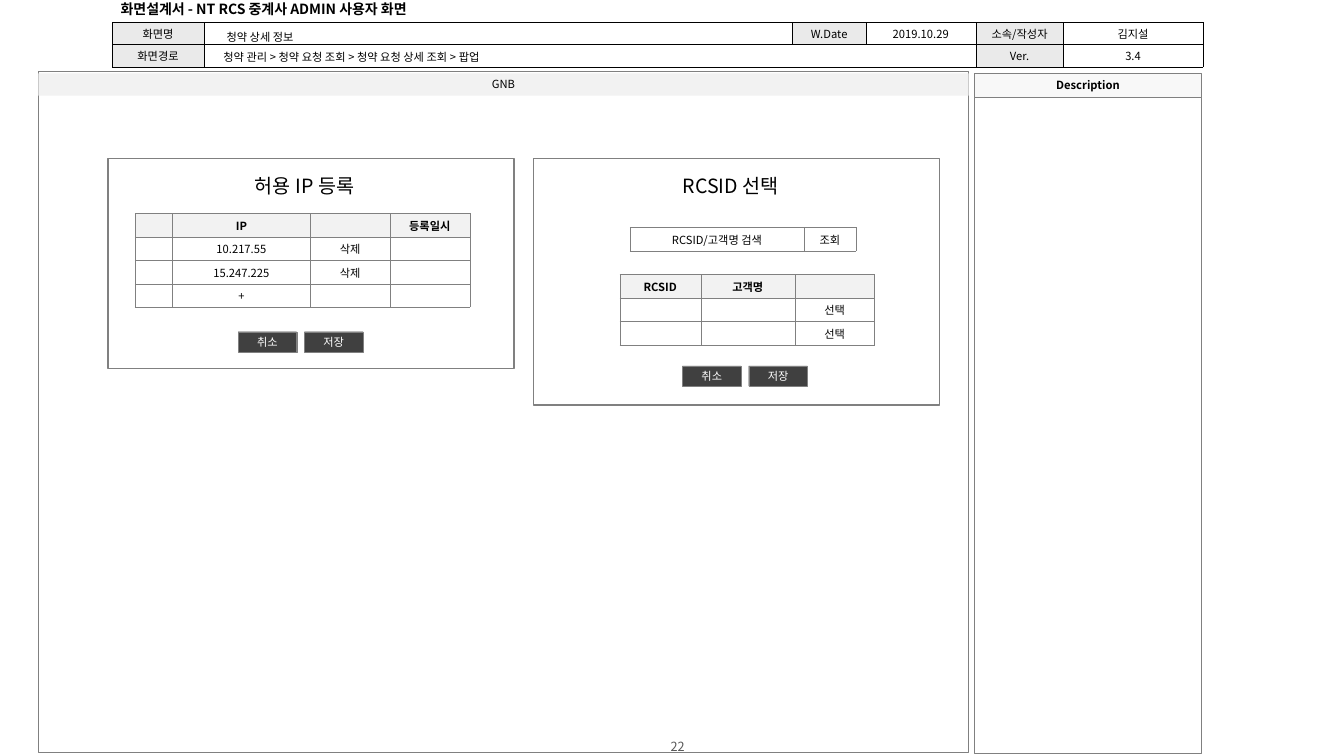
import pptx
import pptx.dml.color
import pptx.enum.shapes
import pptx.enum.text
import pptx.oxml
import pptx.oxml.ns
import pptx.util
from pptx.util import Cm

FONT = "Noto Sans CJK KR"
COLORS = {
    "black": "000000", "white": "FFFFFF", "gray": "808080", "page": "595959",
    "label": "EAEAEA", "head": "F2F2F2", "description": "F8F8F8", "button": "404040",
}
ALIGN = pptx.enum.text.PP_ALIGN
ANCHOR = pptx.enum.text.MSO_ANCHOR
ROW_HEIGHT = 0.59


def rgb(color):
    return pptx.dml.color.RGBColor.from_string(COLORS[color])


def paint(fill, color):
    if color:
        fill.solid()
        fill.fore_color.rgb = rgb(color)
    else:
        fill.background()


def write(tf, text, size=8, color="black", bold=False, align=ALIGN.CENTER):
    p = tf.paragraphs[0]
    p.alignment = align
    if not text:
        # An empty cell keeps the small size so that its row stays low.
        p._p.get_or_add_endParaRPr().set("sz", str(size * 100))
        return
    r = p.add_run()
    r.text = text
    r.font.size = pptx.util.Pt(size)
    r.font.bold = bold
    r.font.name = FONT
    r.font.color.rgb = rgb(color)
    ea = pptx.oxml.parse_xml(f'<a:ea {pptx.oxml.ns.nsdecls("a")} typeface="{FONT}"/>')
    r.font._element.find(pptx.oxml.ns.qn("a:latin")).addnext(ea)


def add_text(s, box, text, size=8, align=ALIGN.LEFT, anchor=ANCHOR.TOP, wrap=True, **style):
    sp = s.shapes.add_textbox(*map(Cm, box))
    tf = sp.text_frame
    tf.word_wrap = wrap
    tf.vertical_anchor = anchor
    write(tf, text, size, align=align, **style)
    return sp


def add_box(s, box, fill=None, line="gray", width=0.25, text="", **style):
    sp = s.shapes.add_shape(pptx.enum.shapes.MSO_SHAPE.RECTANGLE, *map(Cm, box))
    sp.shadow.inherit = False
    paint(sp.fill, fill)
    paint(sp.line.fill, line)
    if line:
        sp.line.width = pptx.util.Pt(width)
    if text:
        tf = sp.text_frame
        tf.margin_left = tf.margin_right = tf.margin_top = tf.margin_bottom = 0
        tf.vertical_anchor = ANCHOR.MIDDLE
        write(tf, text, **style)


def add_borders(cell, color):
    tc_pr = cell._tc.get_or_add_tcPr()
    for side in "LRTB":
        tc_pr.append(pptx.oxml.parse_xml(
            f'<a:ln{side} {pptx.oxml.ns.nsdecls("a")} w="3175"><a:solidFill>'
            f'<a:srgbClr val="{COLORS[color]}"/></a:solidFill></a:ln{side}>'))


def add_grid(s, left, top, widths, rows, fill_of, height=ROW_HEIGHT, line="gray",
             bold_head=False, margin=0.08):
    """Add a table; fill_of(row, column) names the fill of each cell."""
    frame = s.shapes.add_table(len(rows), len(widths), Cm(left), Cm(top),
                               Cm(sum(widths)), Cm(height * len(rows)))
    table = frame.table
    table.first_row = table.horz_banding = False
    for column, width in zip(table.columns, widths):
        column.width = Cm(width)
    for i, row in enumerate(rows):
        table.rows[i].height = Cm(height)
        for j, text in enumerate(row):
            cell = table.cell(i, j)
            cell.margin_top = cell.margin_bottom = Cm(margin)
            cell.margin_left = cell.margin_right = Cm(0.1)
            cell.vertical_anchor = ANCHOR.MIDDLE
            add_borders(cell, line)
            paint(cell.fill, fill_of(i, j))
            write(cell.text_frame, text, bold=bold_head and i == 0)
    return table


def add_buttons(s, left, top):
    for i, text in enumerate(("취소", "저장")):
        add_box(s, (left + i * 1.67, top, 1.48, 0.51), "button", text=text, color="white")


def add_frame(s):
    add_text(s, (13.13, 18.64, 7.9, 0.33), "22", 9, ALIGN.CENTER, ANCHOR.MIDDLE, color="page")
    add_box(s, (0.97, 1.8, 23.44, 17.15))
    table = add_grid(
        s, 2.83, 0.56, (2.31, 14.83, 1.85, 2.77, 2.21, 3.51),
        (("화면명", "", "W.Date", "2019.10.29", "소속/작성자", "김지설"),
         ("화면경로", "", "", "", "Ver.", "3.4")),
        lambda i, j: "white" if j % 2 or (i, j) == (1, 2) else "label",
        height=0.56, line="black", margin=0.04)
    table.cell(1, 1).merge(table.cell(1, 3))
    add_text(s, (2.79, -0.1, 9.5, 0.66), "화면설계서 - NT RCS 중계사 ADMIN 사용자 화면", 10,
             anchor=ANCHOR.MIDDLE, wrap=False, bold=True)
    add_box(s, (24.56, 2.44, 5.72, 16.54))
    add_box(s, (24.56, 1.85, 5.72, 0.61), "description", text="Description", bold=True)
    add_box(s, (0.97, 1.85, 23.44, 0.56), "head", line=None, text="GNB")
    add_text(s, (5.46, 0.64, 5.28, 0.61), "청약 상세 정보")
    add_text(s, (5.38, 1.14, 12.19, 0.61), "청약 관리 > 청약 요청 조회 > 청약 요청 상세 조회 > 팝업")


def add_popup(s, left, height, title, title_left, title_width):
    add_box(s, (left, 3.99, 10.24, height), width=1)
    add_text(s, (title_left, 4.27, title_width, 0.86), title, 14, ALIGN.CENTER, wrap=False)


def head_fill(i, j):
    return "head" if i == 0 else None


def main():
    prs = pptx.Presentation()
    prs.slide_width, prs.slide_height = Cm(33.87), Cm(19.05)
    s = prs.slides.add_slide(prs.slide_layouts[6])
    add_frame(s)

    add_popup(s, 2.72, 5.3, "허용 IP 등록", 5.95, 3.45)
    add_grid(s, 3.4, 5.38, (0.95, 3.47, 2.01, 2.01),
             (("", "IP", "", "등록일시"),
              ("", "10.217.55", "삭제", ""),
              ("", "15.247.225", "삭제", ""),
              ("", "+", "", "")), head_fill, bold_head=True)
    add_buttons(s, 6, 8.36)

    add_popup(s, 13.44, 6.22, "RCSID 선택", 16.89, 3.05)
    add_grid(s, 15.62, 6.92, (2.04, 2.37, 2.01),
             (("RCSID", "고객명", ""), ("", "", "선택"), ("", "", "선택")),
             head_fill, bold_head=True)
    add_buttons(s, 17.2, 9.22)
    add_grid(s, 15.88, 5.73, (4.38, 1.31), (("RCSID/고객명 검색", "조회"),),
             lambda i, j: None)
    prs.save("out.pptx")


if __name__ == "__main__":
    main()
